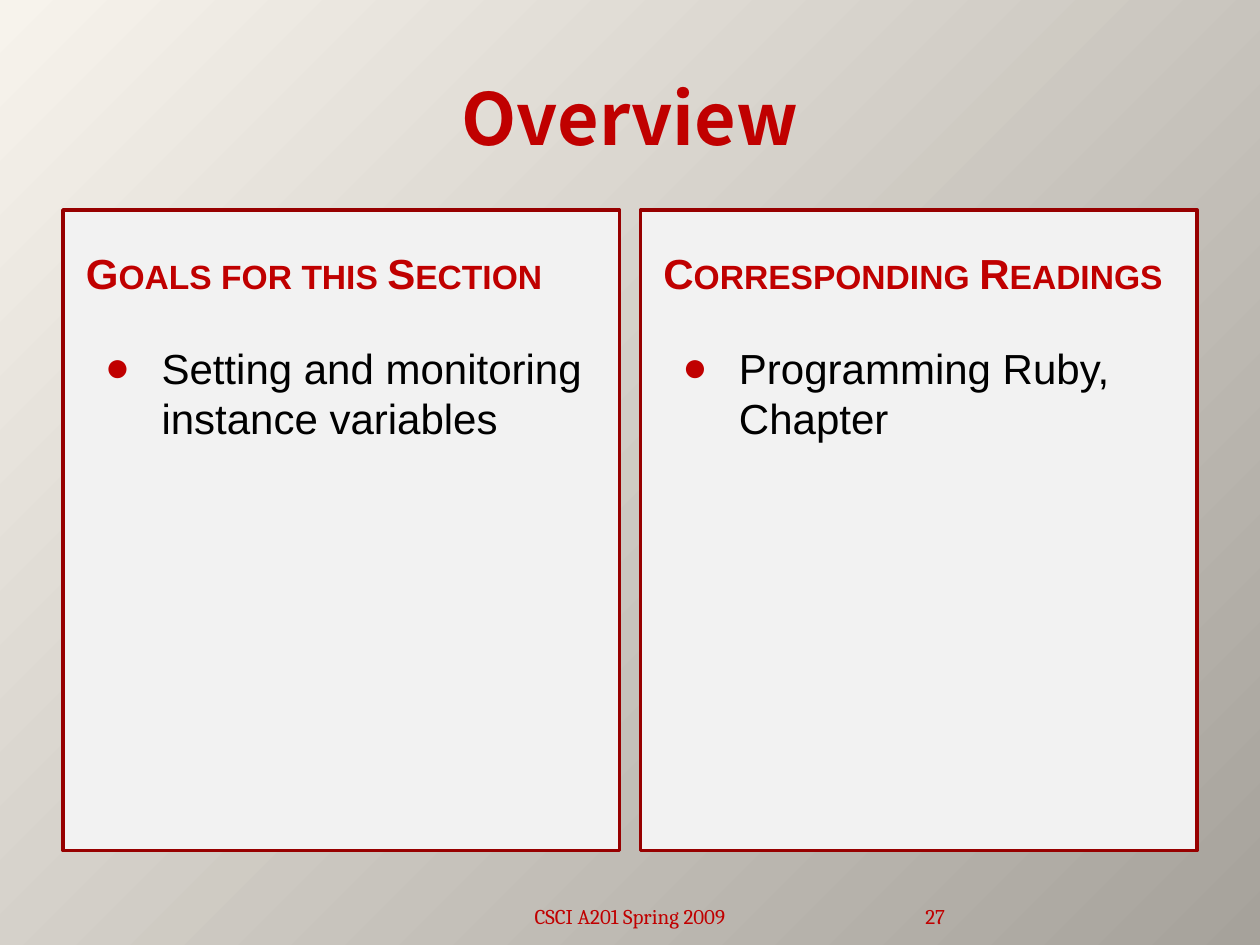
from lxml import etree
from pptx import Presentation
from pptx import util as u
from pptx.dml.color import RGBColor
from pptx.enum import shapes, text
from pptx.oxml.ns import qn

RED, DARK_RED, PANEL, BLACK = "C00000", "970000", "F2F2F2", "000000"
BACKDROP = ("F7F3EC", "A6A29B")
TITLE = "Overview"
COLUMNS = [
    ("Goals for this Section", ["Setting and monitoring instance variables"]),
    ("Corresponding Readings", ["Programming Ruby, Chapter"]),
]
FOOTER, NUMBER = "CSCI A201 Spring 2009", "27"

LEFT, TOP, WIDTH, HEIGHT, GAP = 36, 120, 318, 366, 12
INSET, HEAD_HEIGHT, LIST_TOP, LIST_HEIGHT = 6, 59.4, 192, 288


def color(value):
    return RGBColor.from_string(value)


def add_text(para, words, font, size, tint, bold=False):
    span = para.add_run()
    span.text = words
    span.font.name, span.font.size, span.font.bold = font, u.Pt(size), bold
    span.font.color.rgb = color(tint)
    for tag in ("a:ea", "a:cs"):
        etree.SubElement(span.font._element, qn(tag), typeface=font)
    return span


def add_box(left, top, width, height, anchor):
    box = page.shapes.add_textbox(*map(u.Pt, (left, top, width, height)))
    box.text_frame.word_wrap = True
    box.text_frame.vertical_anchor = anchor
    return box


def add_bullet(para):
    props = para._p.get_or_add_pPr()
    props.set("marL", str(u.Pt(43.2)))
    props.set("indent", str(-u.Pt(32.4)))
    tint = etree.SubElement(props, qn("a:buClr"))
    etree.SubElement(tint, qn("a:srgbClr"), val=RED)
    etree.SubElement(props, qn("a:buFont"), typeface="Arial")
    etree.SubElement(props, qn("a:buChar"), char="●")


deck = Presentation()
deck.slide_width, deck.slide_height = u.Pt(720), u.Pt(540)
page = deck.slides.add_slide(deck.slide_layouts[5])

backdrop = page.background.fill
backdrop.gradient()
backdrop.gradient_angle = 315
for stop, tint in zip(backdrop.gradient_stops, BACKDROP):
    stop.color.rgb = color(tint)

title = page.shapes.title
title.left, title.top, title.width, title.height = map(u.Pt, (36, 21.6, 648, 90))
title.text_frame.vertical_anchor = text.MSO_ANCHOR.MIDDLE
para = title.text_frame.paragraphs[0]
para.alignment = text.PP_ALIGN.CENTER
add_text(para, TITLE, "Noto Sans CJK SC", 41, RED, True)

for index, (heading, items) in enumerate(COLUMNS):
    left = LEFT + index * (WIDTH + GAP)
    panel = page.shapes.add_shape(
        shapes.MSO_SHAPE.RECTANGLE, *map(u.Pt, (left, TOP, WIDTH, HEIGHT)))
    panel.shadow.inherit = False
    panel.fill.solid()
    panel.fill.fore_color.rgb = color(PANEL)
    panel.line.color.rgb = color(DARK_RED)
    panel.line.width = u.Pt(2)

    inner = left + INSET, WIDTH - 2 * INSET
    head = add_box(inner[0], TOP + INSET, inner[1], HEAD_HEIGHT, text.MSO_ANCHOR.MIDDLE)
    para = head.text_frame.paragraphs[0]
    para.space_before = u.Pt(4.8)
    span = add_text(para, heading, "Arial", 24, RED, True)
    span.font._element.set("cap", "small")

    body = add_box(inner[0], LIST_TOP, inner[1], LIST_HEIGHT, text.MSO_ANCHOR.TOP)
    for row, item in enumerate(items):
        frame = body.text_frame
        para = frame.add_paragraph() if row else frame.paragraphs[0]
        para.space_before = u.Pt(4.8)
        add_bullet(para)
        add_text(para, item, "Arial", 24, BLACK)

for words, left, width, align, margin in (
    (FOOTER, 246, 228, text.PP_ALIGN.CENTER, 7.2),
    (NUMBER, 480, 60, text.PP_ALIGN.RIGHT, 0),
):
    box = add_box(left, 505.5, width, 28.8, text.MSO_ANCHOR.BOTTOM)
    box.text_frame.margin_left = box.text_frame.margin_right = u.Pt(margin)
    para = box.text_frame.paragraphs[0]
    para.alignment = align
    add_text(para, words, "Cambria", 12, RED)

deck.save("out.pptx")
